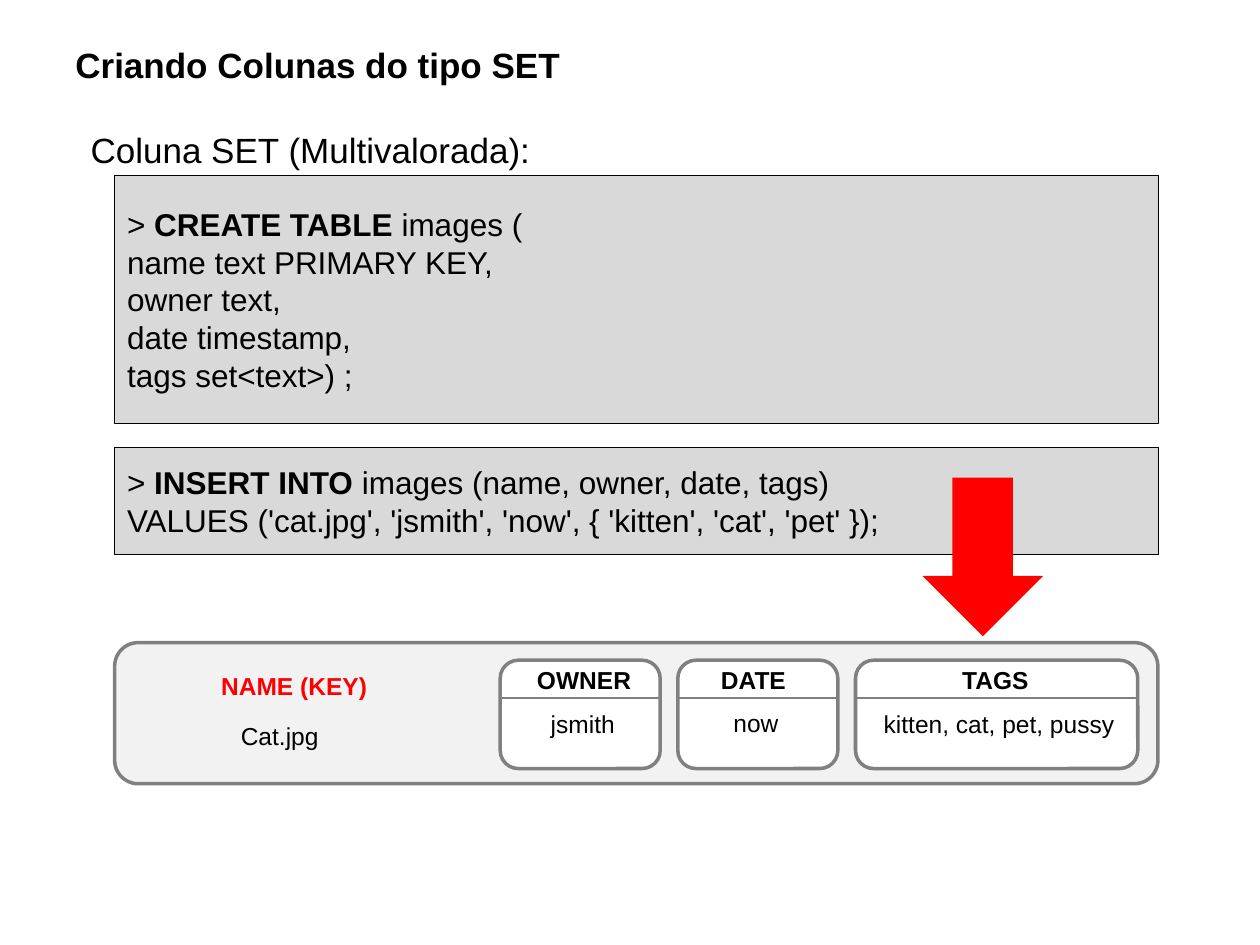
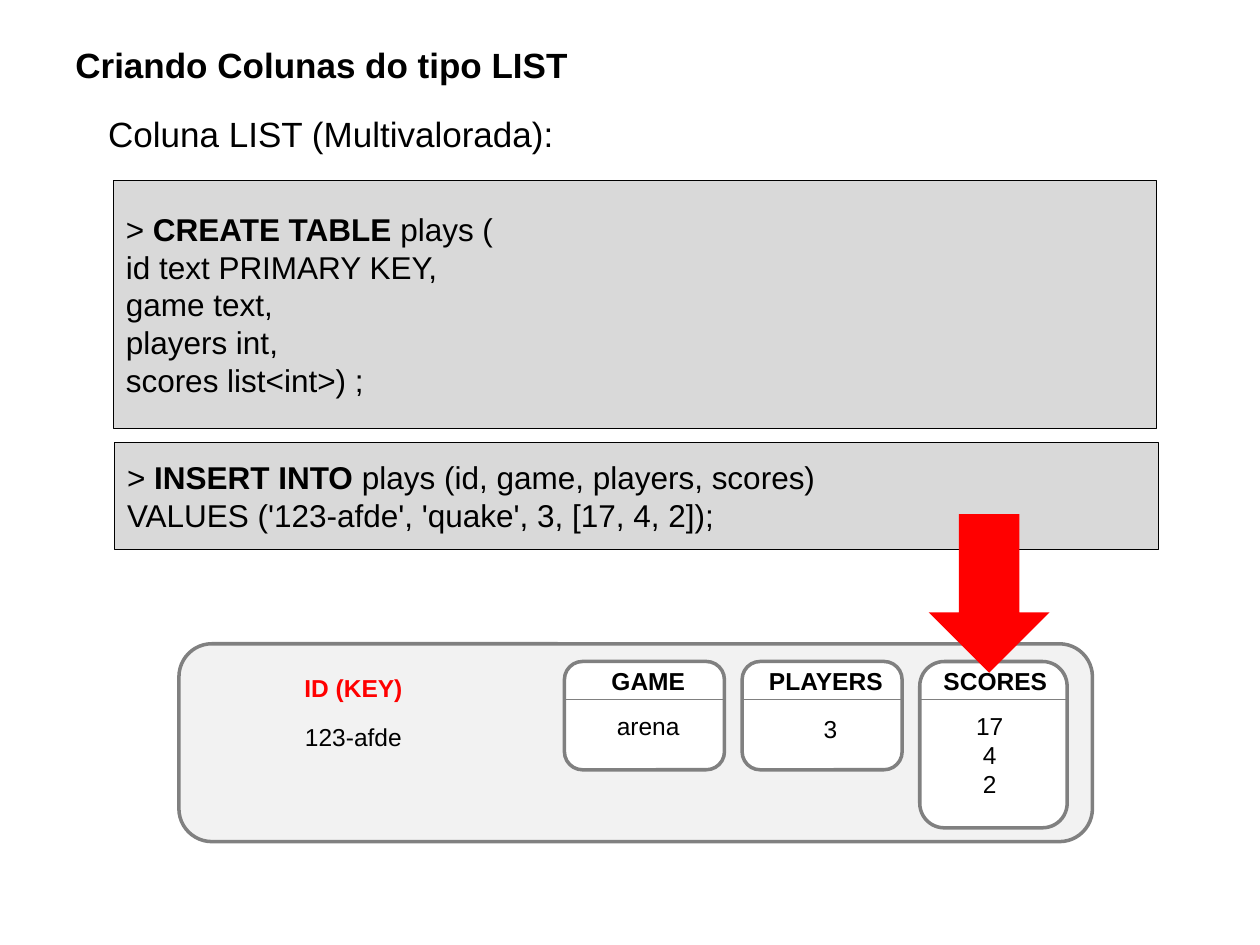
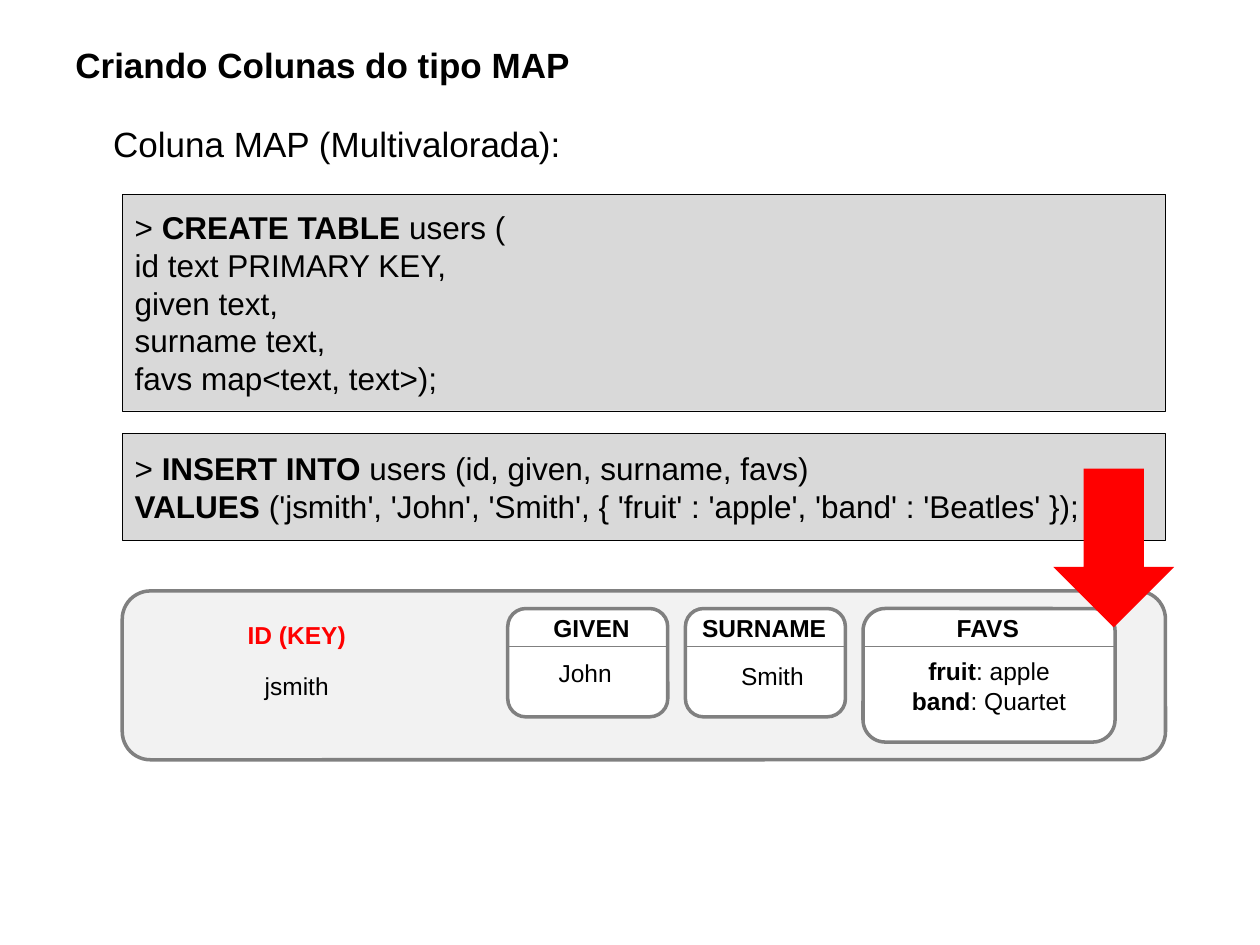
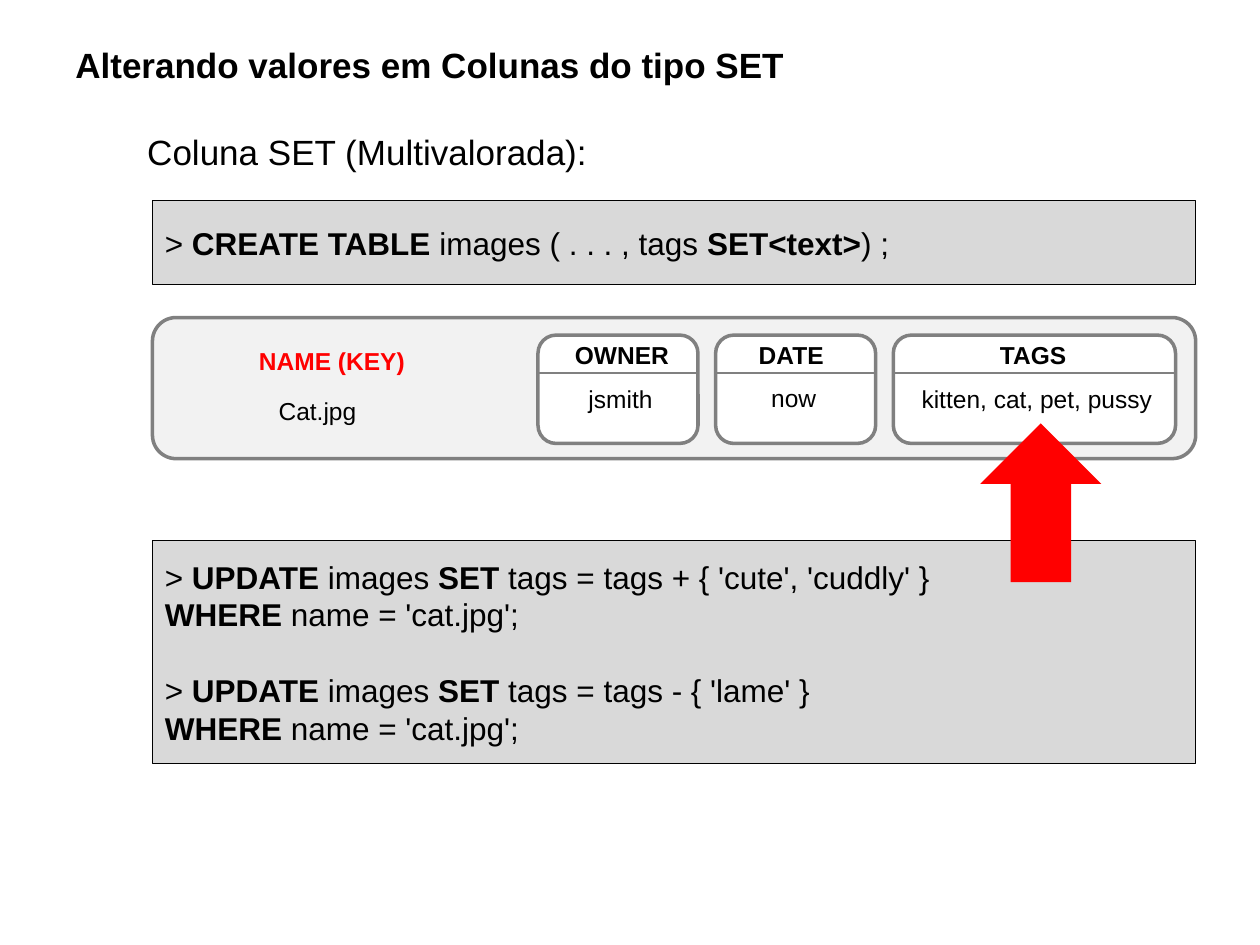
from collections import namedtuple

from lxml.etree import SubElement
from pptx import Presentation
from pptx.dml.color import RGBColor
from pptx.enum.shapes import MSO_CONNECTOR as Connector, MSO_SHAPE as Preset
from pptx.enum.text import MSO_ANCHOR as Anchor, PP_ALIGN as Align
from pptx.oxml.ns import qn
from pptx.util import Emu, Pt

PX = 9144
FONT = "Arial"
COLORS = {
    "text": "000000",
    "key": "FF0000",
    "code": "D9D9D9",
    "record": "F2F2F2",
    "card": "FFFFFF",
    "border": "808080",
    "arrow": "FF0000",
}
CARD_OFFSET, CARD_PITCH, CARD_INSET = 306, 141, 14
CARD_WIDTH, CARD_HEIGHT, HEADER_HEIGHT = 127, 86, 30
LABEL_HEIGHT, LINE_HEIGHT = 34, 23

Column = namedtuple(
    "Column",
    "header header_x header_width value value_x value_y value_width width height",
    defaults=(CARD_WIDTH, CARD_HEIGHT),
)
Key = namedtuple("Key", "name name_width value value_x value_y value_width")


def px(length):
    """Turn whole pixels into EMU."""
    return Emu(length * PX)


def color(name):
    """Look up a named colour."""
    return RGBColor.from_string(COLORS[name])


def write_text(frame, text, size=14, bold=False, ink="text", align=Align.LEFT,
               anchor=Anchor.TOP, wrap=True, gap=0):
    """Write lines with ** toggling bold; a blank line becomes space of gap points."""
    frame.word_wrap = wrap
    frame.vertical_anchor = anchor
    for block_index, block in enumerate(text.split("\n\n")):
        for line_index, line in enumerate(block.split("\n")):
            first = block_index == line_index == 0
            paragraph = frame.paragraphs[0] if first else frame.add_paragraph()
            paragraph.alignment = align
            if block_index and line_index == 0:
                paragraph.space_before = Pt(gap)
            for index, piece in enumerate(line.split("**")):
                if piece:
                    run = paragraph.add_run()
                    run.text = piece
                    run.font.name = FONT
                    run.font.size = Pt(size)
                    run.font.bold = bold or index % 2 == 1
                    run.font.color.rgb = color(ink)


class Deck:
    """Holds the presentation, its style and the current slide."""

    def __init__(self):
        self.presentation = Presentation()
        self.presentation.slide_width = px(1000)
        self.presentation.slide_height = px(750)
        self.slide = None

    def start(self, title, lead, lead_left, lead_top):
        """Add a slide with its title and lead line."""
        self.slide = self.presentation.slides.add_slide(self.presentation.slide_layouts[6])
        self.text(lead_left, lead_top, 802, 43, lead, size=20)
        self.text(50, 30, 900, 50, title, size=20, bold=True)

    def text(self, left, top, width, height, text, **text_format):
        """Add a text box."""
        box = self.slide.shapes.add_textbox(px(left), px(top), px(width), px(height))
        write_text(box.text_frame, text, **text_format)

    def label(self, left, top, width, text, **text_format):
        """Add a small centred label."""
        height = LABEL_HEIGHT + LINE_HEIGHT * text.count("\n")
        self.text(left, top, width, height, text, align=Align.CENTER, wrap=False, **text_format)

    def shape(self, preset, left, top, width, height, fill, line=None, line_width=2):
        """Add a filled preset shape."""
        shape = self.slide.shapes.add_shape(preset, px(left), px(top), px(width), px(height))
        shape.shadow.inherit = False
        shape.fill.solid()
        shape.fill.fore_color.rgb = color(fill)
        if line:
            shape.line.color.rgb = color(line)
            shape.line.width = Pt(line_width)
        else:
            shape.line.fill.background()
        return shape

    def code(self, left, top, height, text):
        """Add a grey box of code."""
        shape = self.shape(Preset.RECTANGLE, left, top, 828, height, "code", "text", 0.25)
        write_text(shape.text_frame, text, size=18, anchor=Anchor.MIDDLE, gap=21.6)

    def divider(self, left, top, width):
        """Add a thin horizontal line."""
        connector = self.slide.shapes.add_connector(
            Connector.STRAIGHT, px(left), px(top), px(left + width), px(top))
        connector.line.color.rgb = color("border")
        connector.line.width = Pt(0.75)
        SubElement(connector._element.spPr, qn("a:effectLst"))

    def card(self, left, top, column):
        """Add one column of a record."""
        self.shape(Preset.ROUNDED_RECTANGLE, left, top, column.width, column.height,
                   "card", "border")
        self.label(left + column.header_x, top - 1, column.header_width, column.header, bold=True)
        self.divider(left - 1, top + HEADER_HEIGHT, column.width + 1)
        self.label(left + column.value_x, top + column.value_y, column.value_width, column.value)

    def record(self, left, top, width, height, key, columns):
        """Add a record with its key and column cards."""
        self.shape(Preset.ROUNDED_RECTANGLE, left, top, width, height, "record", "border")
        self.label(left + 74, top + 18, key.name_width, key.name, bold=True, ink="key")
        self.label(left + key.value_x, top + key.value_y, key.value_width, key.value)
        for index, column in enumerate(columns):
            self.card(left + CARD_OFFSET + index * CARD_PITCH, top + CARD_INSET, column)

    def arrow(self, left, top, rotation=0):
        """Add a red block arrow."""
        self.shape(Preset.DOWN_ARROW, left, top, 96, 126, "arrow").rotation = rotation


IMAGE_KEY = Key("NAME (KEY)", 137, "Cat.jpg", 90, 57, 82)
IMAGE_COLUMNS = [
    Column("OWNER", 12, 109, "jsmith", 30, 34, 71),
    Column("DATE", 23, 74, "now", 34, 33, 56),
    Column("TAGS", 23, 176, "kitten, cat, pet, pussy", 12, 34, 204, width=224),
]
PLAY_KEY = Key("ID (KEY)", 129, "123-afde", 90, 57, 97)
PLAY_COLUMNS = [
    Column("GAME", 12, 109, "arena", 30, 34, 73),
    Column("PLAYERS", 10, 113, "3", 34, 37, 72),
    Column("SCORES", 8, 104, "17\n4\n2", 12, 34, 87, width=117, height=132),
]
USER_KEY = Key("ID (KEY)", 129, "jsmith", 103, 59, 71)
USER_COLUMNS = [
    Column("GIVEN", 12, 109, "John", 30, 34, 63),
    Column("SURNAME", 1, 123, "Smith", 33, 37, 72),
    Column("FAVS", 47, 104, "**fruit**: apple\n**band**: Quartet", 12, 33, 176,
           width=200, height=106),
]


def main():
    """Build the four slides."""
    deck = Deck()

    deck.start("Criando Colunas do tipo SET", "Coluna SET (Multivalorada):", 62, 97)
    deck.code(91, 139, 197, "> **CREATE TABLE **images (\nname text PRIMARY KEY,\n"
              "owner text,\ndate timestamp,\ntags set<text>) ;")
    deck.code(91, 355, 85, "> **INSERT INTO **images (name, owner, date, tags)\n"
              "VALUES ('cat.jpg', 'jsmith', 'now', { 'kitten', 'cat', 'pet' });")
    deck.record(91, 510, 828, 112, IMAGE_KEY, IMAGE_COLUMNS)
    deck.arrow(732, 379)

    deck.start("Criando Colunas do tipo LIST", "Coluna LIST (Multivalorada):", 76, 84)
    deck.code(90, 143, 197, "> **CREATE TABLE **plays (\nid text PRIMARY KEY,\n"
              "game text,\nplayers int,\nscores list<int>) ;")
    deck.code(91, 351, 85, "> **INSERT INTO **plays (id, game, players, scores)\n"
              "VALUES ('123-afde', 'quake', 3, [17, 4, 2]);")
    deck.record(142, 511, 725, 157, PLAY_KEY, PLAY_COLUMNS)
    deck.arrow(737, 408)

    deck.start("Criando Colunas do tipo MAP", "Coluna MAP (Multivalorada):", 80, 92)
    deck.code(97, 154, 172, "> **CREATE TABLE **users (\nid text PRIMARY KEY,\n"
              "given text,\nsurname text,\nfavs map<text, text>);")
    deck.code(97, 344, 85, "> **INSERT INTO **users (id, given, surname, favs)\n"
              "**VALUES** ('jsmith', 'John', 'Smith', { 'fruit' : 'apple', 'band' : 'Beatles' });")
    deck.record(97, 469, 828, 134, USER_KEY, USER_COLUMNS)
    deck.arrow(836, 372)

    deck.start("Alterando valores em Colunas do tipo SET", "Coluna SET (Multivalorada):", 107, 99)
    deck.code(121, 159, 67, "> **CREATE TABLE **images ( . . . , tags **SET<text>**) ;")
    deck.record(121, 252, 828, 112, IMAGE_KEY, IMAGE_COLUMNS)
    deck.code(121, 429, 177, "> **UPDATE** images **SET** tags = tags + { 'cute', 'cuddly' }\n"
              "**WHERE** name = 'cat.jpg';\n\n"
              "> **UPDATE** images **SET** tags = tags - { 'lame' }\n"
              "**WHERE** name = 'cat.jpg';")
    deck.arrow(778, 336, rotation=180)

    deck.presentation.save("out.pptx")


if __name__ == "__main__":
    main()
